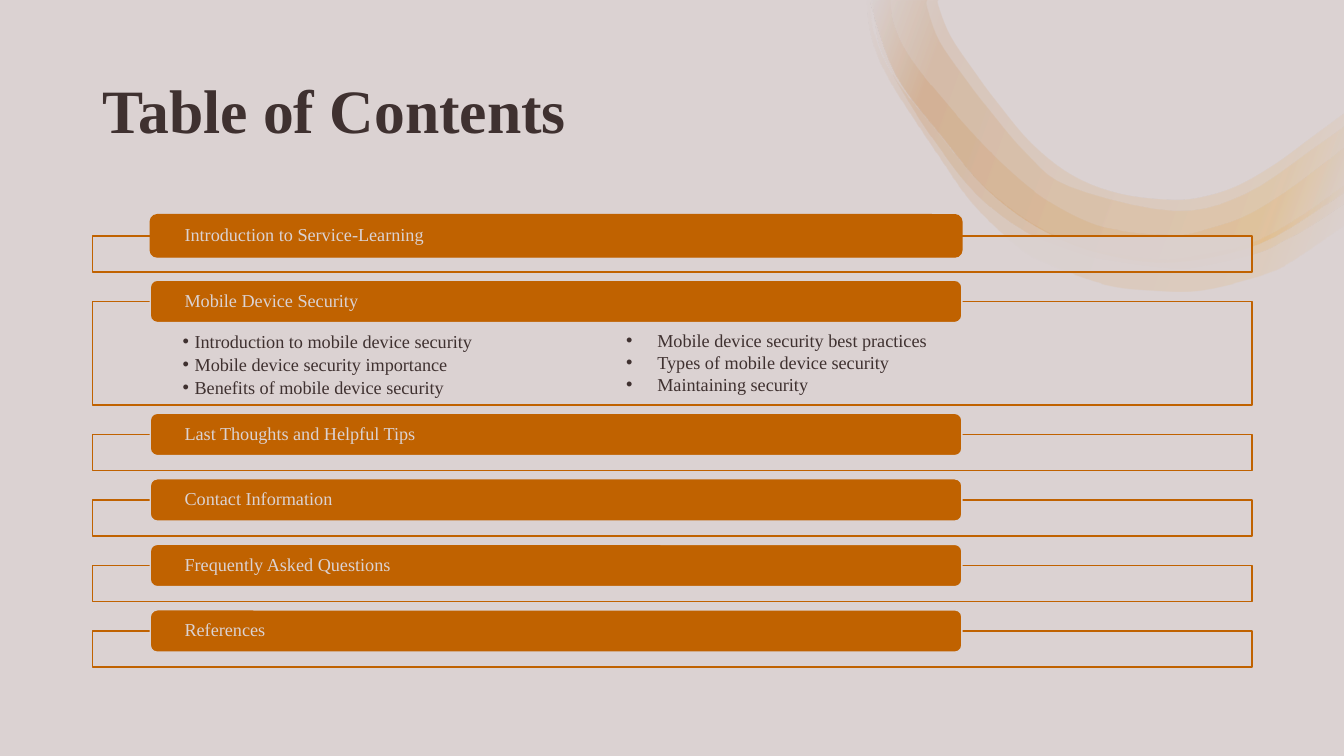
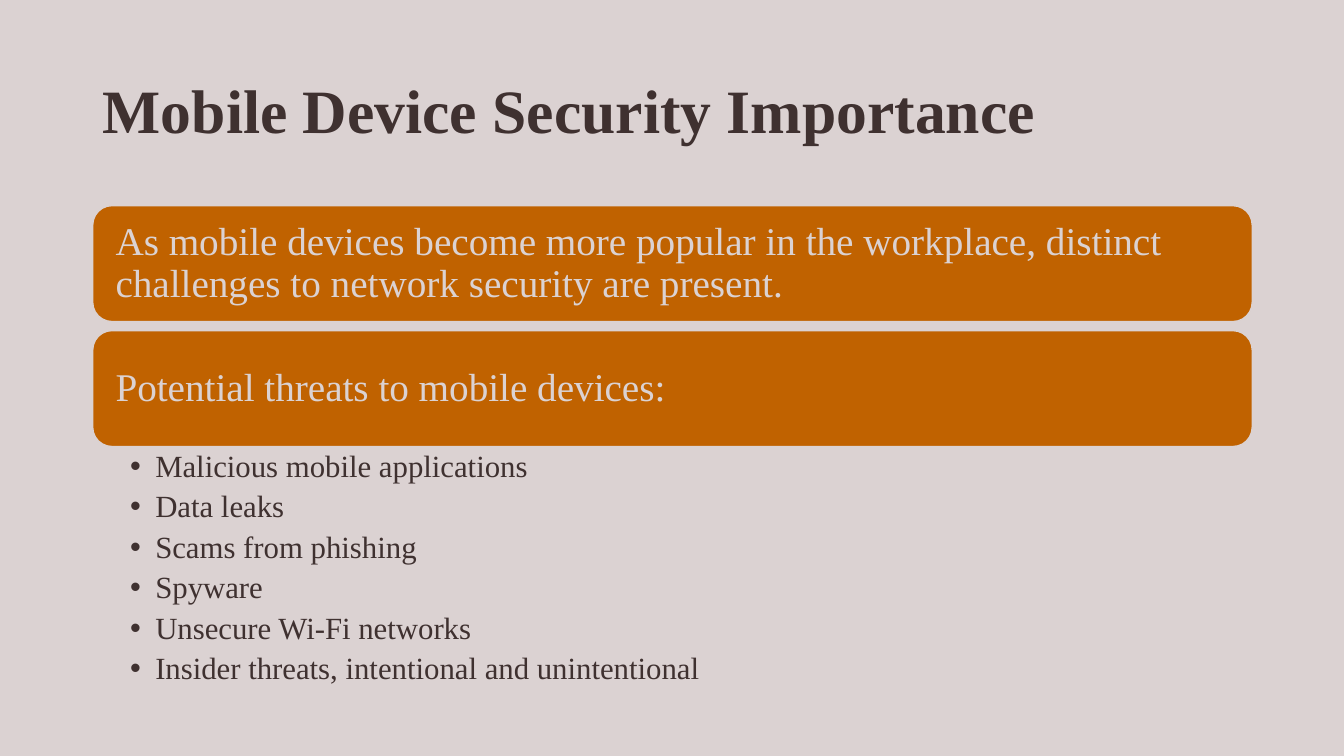
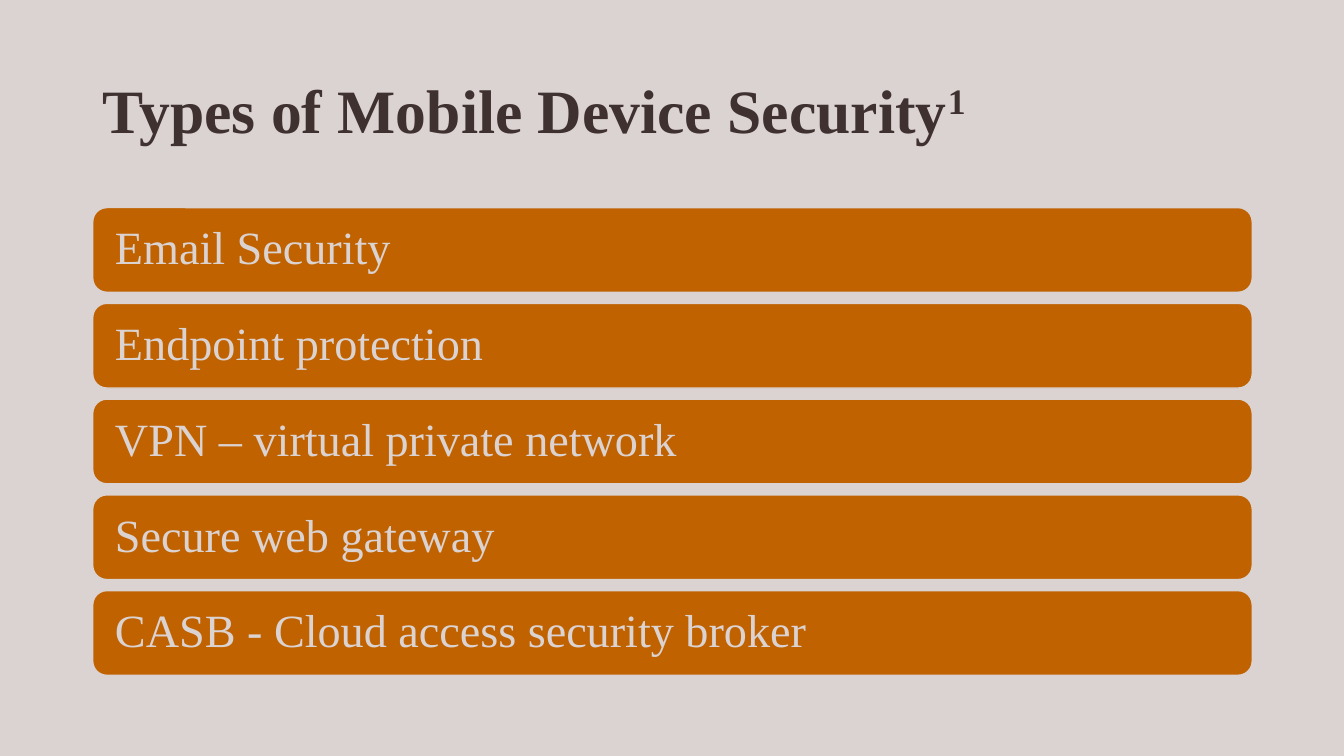
"""Build three slides on mobile device security."""
from dataclasses import dataclass

from lxml.etree import SubElement
from pptx import Presentation
from pptx.dml.color import RGBColor
from pptx.enum.shapes import MSO_SHAPE as Preset
from pptx.enum.text import MSO_ANCHOR as Anchor, MSO_AUTO_SIZE as AutoSize, PP_ALIGN as Align
from pptx.oxml import parse_xml
from pptx.oxml.ns import nsdecls, qn
from pptx.util import Inches, Pt


@dataclass(frozen=True)
class Theme:
    """Colours, font and type sizes of the deck."""
    paper: str = "DBD2D2"
    ink: str = "3F3130"
    orange: str = "C06200"
    amber: str = "F19D19"
    font: str = "Times New Roman"
    title: int = 44
    type_name: int = 33
    statement: int = 28
    threat: int = 22
    contents: int = 13


THEME = Theme()
LEFT, WIDTH = 0.92, 11.5
TITLE_ONLY, ONE_LIST, TWO_LISTS = 5, 1, 3

CONTENTS = [
    ("Introduction to Service-Learning", 0.36),
    ("Mobile Device Security", 1.03),
    ("Last Thoughts and Helpful Tips", 0.36),
    ("Contact Information", 0.36),
    ("Frequently Asked Questions", 0.36),
    ("References", 0.36),
]
TOPICS_LEFT = [
    "Introduction to mobile device security",
    "Mobile device security importance",
    "Benefits of mobile device security",
]
TOPICS_RIGHT = [
    "Mobile device security best practices",
    "Types of mobile device security",
    "Maintaining security",
]
STATEMENTS = [
    "As mobile devices become more popular in the workplace, "
    "distinct challenges to network security are present.",
    "Potential threats to mobile devices:",
]
THREATS = [
    "Malicious mobile applications",
    "Data leaks",
    "Scams from phishing",
    "Spyware",
    "Unsecure Wi-Fi networks",
    "Insider threats, intentional and unintentional",
]
SECURITY_TYPES = [
    "Email Security",
    "Endpoint protection",
    "VPN – virtual private network",
    "Secure web gateway",
    "CASB - Cloud access security broker",
]

CORE_OUTER = [(13.33, 1.9), (13.19, 2), (12.48, 2.42), (11.64, 2.6), (10.91, 2.51), (10.3, 2.26),
              (9.78, 1.87), (9.34, 1.35), (8.89, 0.75), (8.65, 0.08), (8.65, 0)]
RIBBONS = [
    ([(8.64, 0), (8.66, 0.27), (8.78, 0.6), (8.97, 0.9), (9.25, 1.24), (9.52, 1.58), (9.81, 1.89),
      (10.25, 2.22), (10.76, 2.45), (11.3, 2.55), (11.69, 2.56), (12.39, 2.41), (12.88, 2.15),
      (13.33, 1.83)],
     [(13.33, 2.23), (12.82, 2.58), (12.53, 2.72), (11.91, 2.88), (11.43, 2.88), (10.96, 2.82),
      (10.36, 2.6), (10.09, 2.44), (9.65, 2.02), (9.31, 1.54), (8.99, 1.06), (8.84, 0.82),
      (8.71, 0.56), (8.63, 0.28), (8.6, 0)]),
    ([(8.83, 0), (8.85, 0.2), (8.94, 0.43), (9.08, 0.65), (9.24, 0.85), (9.6, 1.27), (9.96, 1.64),
      (10.35, 1.96), (10.8, 2.2), (11.18, 2.29), (11.6, 2.32), (11.83, 2.3), (12.31, 2.15),
      (12.75, 1.89), (13.18, 1.57), (13.33, 1.46)],
     [(13.33, 2.01), (13, 2.23), (12.74, 2.37), (12.47, 2.5), (11.87, 2.64), (11.57, 2.65),
      (10.98, 2.57), (10.69, 2.5), (10.13, 2.27), (9.66, 1.9), (9.31, 1.46), (9.01, 1.01),
      (8.8, 0.64), (8.7, 0.38), (8.65, 0)]),
    ([(9.2, 0), (9.2, 0.08), (9.32, 0.41), (9.59, 0.8), (9.79, 1.06), (10.18, 1.52), (10.61, 1.85),
      (11.64, 2.09), (12.35, 1.92), (13.05, 1.45), (13.33, 1.25)], CORE_OUTER),
    ([(9.31, 0), (9.31, 0.06), (9.43, 0.36), (9.68, 0.73), (9.88, 1), (10.23, 1.42), (10.64, 1.74),
      (11.11, 1.92), (11.64, 1.98), (11.97, 1.94), (12.29, 1.83), (12.65, 1.62), (12.99, 1.37),
      (13.33, 1.12)], CORE_OUTER),
]
RIBBON_STOPS = [(2, THEME.paper), (16, THEME.amber), (85, THEME.orange), (100, THEME.paper)]
RIBBON_OPACITY, RIBBON_ANGLE = 10, 200


def rgb(value):
    return RGBColor.from_string(value)


def place(shape, left, top, width, height):
    shape.left, shape.top = Inches(left), Inches(top)
    shape.width, shape.height = Inches(width), Inches(height)


def put_text(shape, lines, *, size, color=THEME.ink, bold=False, anchor=Anchor.TOP,
             insets=(0.1, 0.05, 0.1, 0.05), spacing=0.9, after=0, hang=None):
    frame = shape.text_frame
    frame.word_wrap, frame.auto_size, frame.vertical_anchor = True, AutoSize.NONE, anchor
    (frame.margin_left, frame.margin_top,
     frame.margin_right, frame.margin_bottom) = map(Inches, insets)
    for index, line in enumerate(lines):
        paragraph = frame.add_paragraph() if index else frame.paragraphs[0]
        paragraph.alignment, paragraph.line_spacing = Align.LEFT, spacing
        paragraph.space_before, paragraph.space_after = Pt(0), Pt(after)
        run = paragraph.add_run()
        run.text = line
        run.font.name, run.font.size, run.font.bold = THEME.font, Pt(size), bold
        run.font.color.rgb = rgb(color)
        if hang:
            props = paragraph._p.get_or_add_pPr()
            props.set("marL", str(Inches(hang)))
            props.set("indent", str(-Inches(hang)))
            SubElement(props, qn("a:buFont"), typeface="Arial")
            SubElement(props, qn("a:buChar"), char="•")


def add_box(slide, preset, box, *, fill, line, opacity=100):
    shape = slide.shapes.add_shape(preset, *map(Inches, box))
    shape.shadow.inherit = False
    shape.fill.solid()
    shape.fill.fore_color.rgb = rgb(fill)
    shape.line.color.rgb, shape.line.width = rgb(line), Pt(1)
    if opacity < 100:
        color = shape.fill._xPr.find(qn("a:solidFill"))[0]
        SubElement(color, qn("a:alpha"), val=str(opacity * 1000))
    return shape


def add_bars(slide, labels, *, top, height, gap, size, inset):
    for index, label in enumerate(labels):
        box = (LEFT, top + index * (height + gap), WIDTH, height)
        bar = add_box(slide, Preset.ROUNDED_RECTANGLE, box, fill=THEME.orange, line=THEME.paper)
        put_text(bar, [label], size=size, color=THEME.paper, anchor=Anchor.MIDDLE,
                 insets=(inset,) * 4)


def smooth(points, steps=5):
    ends = [points[0], *points, points[-1]]
    curve = [points[0]]
    for a, b, c, d in zip(ends, ends[1:], ends[2:], ends[3:]):
        for step in range(1, steps + 1):
            t = step / steps
            curve.append(tuple(
                b[k] + t / 2 * (c[k] - a[k] + t * (2 * a[k] - 5 * b[k] + 4 * c[k] - d[k]
                                + t * (3 * b[k] - a[k] - 3 * c[k] + d[k])))
                for k in (0, 1)))
    return curve


def add_ribbon(slide, inner, outer):
    outline = [(Inches(x), Inches(y)) for x, y in smooth(inner) + smooth(outer)]
    builder = slide.shapes.build_freeform(*outline[0])
    builder.add_line_segments(outline[1:], close=True)
    ribbon = builder.convert_to_shape()
    ribbon.shadow.inherit = False
    ribbon.line.fill.background()
    stops = "".join(
        f'<a:gs pos="{pos * 1000}"><a:srgbClr val="{color}">'
        f'<a:alpha val="{RIBBON_OPACITY * 1000}"/></a:srgbClr></a:gs>'
        for pos, color in RIBBON_STOPS)
    gradient = parse_xml(
        f'<a:gradFill {nsdecls("a")} rotWithShape="1"><a:gsLst>{stops}</a:gsLst>'
        f'<a:lin ang="{RIBBON_ANGLE * 60000}" scaled="0"/></a:gradFill>')
    ribbon._element.spPr.find(qn("a:custGeom")).addnext(gradient)


def style_master(deck):
    master = deck.slide_master
    master.background.fill.solid()
    master.background.fill.fore_color.rgb = rgb(THEME.paper)
    place(master.placeholders[0], LEFT, 0.4, WIDTH, 1.45)


def add_titled_slide(deck, layout, title):
    slide = deck.slides.add_slide(deck.slide_layouts[layout])
    put_text(slide.shapes.title, [title], size=THEME.title, bold=True, anchor=Anchor.MIDDLE)
    return slide


def add_list(slide, slot, box, items, **style):
    body = slide.placeholders[slot]
    place(body, *box)
    put_text(body, items, **style)
    slide.shapes._spTree.append(body._element)


def contents_slide(deck):
    slide = add_titled_slide(deck, TWO_LISTS, "Table of Contents")
    for inner, outer in RIBBONS:
        add_ribbon(slide, inner, outer)
    top, overlap, gap = 2.13, 0.21, 0.08
    for index, (heading, height) in enumerate(CONTENTS):
        add_box(slide, Preset.RECTANGLE, (LEFT, top + overlap, WIDTH, height),
                fill=THEME.paper, line=THEME.orange, opacity=90)
        tab = add_box(slide, Preset.ROUNDED_RECTANGLE, (1.49, top, 8.05, 0.42),
                      fill=THEME.orange, line=THEME.paper if index else THEME.orange)
        put_text(tab, [heading], size=THEME.contents, color=THEME.paper,
                 anchor=Anchor.MIDDLE, insets=(0.32, 0, 0.32, 0))
        top += overlap + height + gap
    add_list(slide, 1, (LEFT, 3, WIDTH, 1.03), TOPICS_LEFT, size=THEME.contents,
             insets=(0.89, 0.3, 0.89, 0.1), after=2.3, hang=0.12)
    add_list(slide, 2, (6.11, 3.22, 4.47, 0.76), TOPICS_RIGHT, size=THEME.contents,
             spacing=1.0, hang=0.31)


def importance_slide(deck):
    slide = add_titled_slide(deck, ONE_LIST, "Mobile Device Security Importance")
    add_bars(slide, STATEMENTS, top=2.04, height=1.15, gap=0.09, size=THEME.statement, inset=0.17)
    add_list(slide, 1, (LEFT, 4.43, WIDTH, 2.28), THREATS, size=THEME.threat,
             insets=(0.37, 0.04, 0.22, 0.04), after=5.2, hang=0.25)


def types_slide(deck):
    slide = add_titled_slide(deck, TITLE_ONLY, "Types of Mobile Device Security")
    heading = slide.shapes.title.text_frame.paragraphs[0]
    footnote = heading.add_run()
    footnote.text = "1"
    footnote.font.name, footnote.font.size, footnote.font.bold = THEME.font, Pt(THEME.title), True
    footnote.font.color.rgb = rgb(THEME.ink)
    footnote.font._rPr.set("baseline", "30000")
    add_bars(slide, SECURITY_TYPES, top=2.06, height=0.84, gap=0.11,
             size=THEME.type_name, inset=0.18)


def main():
    deck = Presentation()
    deck.slide_width, deck.slide_height = Inches(13.33), Inches(7.5)
    style_master(deck)
    contents_slide(deck)
    importance_slide(deck)
    types_slide(deck)
    deck.save("out.pptx")


if __name__ == "__main__":
    main()
